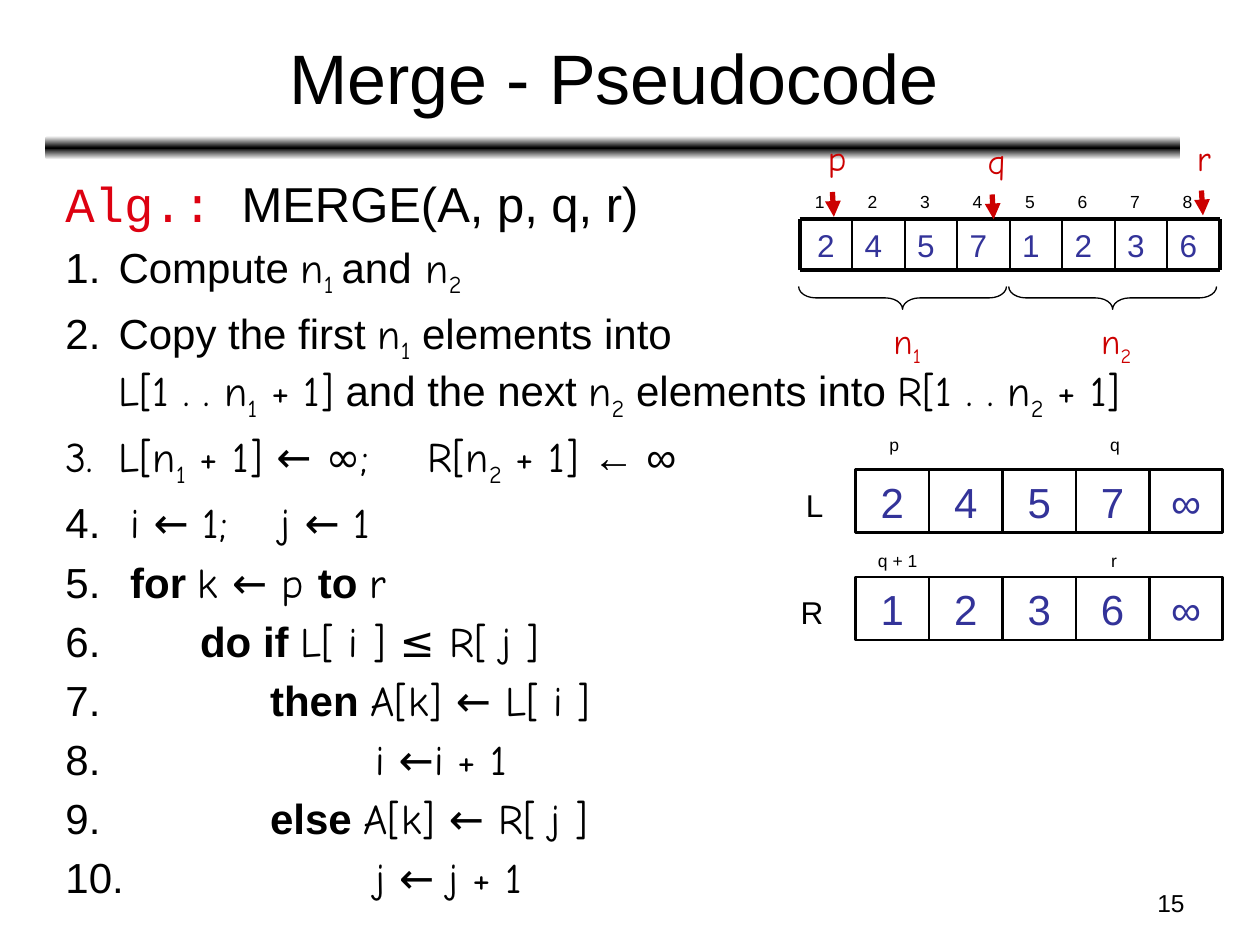
from dataclasses import dataclass

from lxml import etree
from pptx import Presentation
from pptx.dml.color import RGBColor
from pptx.enum.shapes import MSO_CONNECTOR, MSO_SHAPE
from pptx.enum.text import MSO_ANCHOR, PP_ALIGN
from pptx.oxml.ns import qn
from pptx.util import Cm, Pt

LEFT, CENTER, RIGHT = PP_ALIGN.LEFT, PP_ALIGN.CENTER, PP_ALIGN.RIGHT
TOP, MIDDLE = MSO_ANCHOR.TOP, MSO_ANCHOR.MIDDLE
STRAIGHT = MSO_CONNECTOR.STRAIGHT
RECTANGLE, ROUNDED, BRACE = MSO_SHAPE.RECTANGLE, MSO_SHAPE.ROUNDED_RECTANGLE, MSO_SHAPE.LEFT_BRACE


@dataclass(frozen=True)
class Theme:
    """Colours, fonts and type sizes."""
    black: str = "000000"
    white: str = "FFFFFF"
    value: str = "333399"
    marker: str = "CC0000"
    keyword: str = "DD0111"
    plain: str = "Arial"
    hand: str = "Comic Neue"
    mono: str = "Courier New"
    title: int = 40
    heading: int = 28
    code: int = 24
    pointer: int = 20
    cell: int = 18
    number: int = 14
    index: int = 10


THEME = Theme()

STEPS = [
    (1.07, None, [("Compute ", ""), ("n", "h"), ("1 ", "hs"), ("and", ""), (" n", "h"), ("2", "hs")]),
    (1.07, None, [("Copy the first ", ""), ("n", "h"), ("1", "hs"), (" elements into", ""), ("\n", ""),
                  ("L[1 . . n", "h"), ("1", "hs"), (" + 1]", "h"), (" and the next ", ""),
                  ("n", "h"), ("2", "hs"), (" elements into ", ""),
                  ("R[1 . . n", "h"), ("2", "hs"), (" + 1]", "h")]),
    (1.07, 7.3, [("L[n", "h"), ("1", "hs"), (" + 1] ← ∞;\tR[n", "h"), ("2", "hs"),
                 (" + 1] ", "h"), ("← ∞", "")]),
    (1.07, 4.34, [(" ", ""), ("i ← 1;\tj ← 1", "h")]),
    (1.07, None, [(" ", ""), ("for ", "b"), ("k ← p ", "h"), ("to ", "b"), ("r", "h")]),
    (2.48, None, [(" ", ""), ("do if ", "b"), ("L[ i ] ≤ R[ j ]", "h")]),
    (3.89, None, [(" ", ""), ("then ", "b"), ("A[k] ← L[ i ]", "h")]),
    (6.01, None, [(" ", ""), ("i ←i + 1", "h")]),
    (3.89, None, [(" ", ""), ("else ", "b"), ("A[k] ← R[ j ]", "h")]),
    (6.01, None, [(" ", ""), ("j ← j + 1", "h")]),
]


def add_run(paragraph, text, size, color=THEME.black, font=THEME.plain, bold=False, subscript=False):
    """Add one formatted run."""
    run = paragraph.add_run()
    run.text = text
    run.font.size = Pt(size)
    run.font.name = font
    run.font.bold = bold
    run.font.color.rgb = RGBColor.from_string(color)
    if subscript:
        run.font._element.set("baseline", "-25000")


def add_box(slide, left, top, width, height, anchor=TOP, wrap=True):
    """Add an empty text box and return its text frame."""
    frame = slide.shapes.add_textbox(Cm(left), Cm(top), Cm(width), Cm(height)).text_frame
    frame.word_wrap = wrap
    frame.vertical_anchor = anchor
    return frame


def add_label(slide, box, text, size, color=THEME.black, font=THEME.plain,
              align=LEFT, anchor=TOP, wrap=True, subscript=""):
    """Add a one-line label with an optional subscript."""
    paragraph = add_box(slide, *box, anchor, wrap).paragraphs[0]
    paragraph.alignment = align
    add_run(paragraph, text, size, color, font)
    if subscript:
        add_run(paragraph, subscript, size, color, font, subscript=True)


def add_line(slide, start, end, width, color=THEME.black, arrow=False):
    """Add a straight line, with an arrowhead at its end if asked."""
    line = slide.shapes.add_connector(STRAIGHT, *(Cm(length) for length in (*start, *end)))
    line.line.width = Pt(width)
    line.line.color.rgb = RGBColor.from_string(color)
    if arrow:
        outline_element = line._element.spPr.find(qn("a:ln"))
        etree.SubElement(outline_element, qn("a:tailEnd"), type="triangle")
    etree.SubElement(line._element.spPr, qn("a:effectLst"))


def add_shape(slide, kind, left, top, width, height):
    """Add a preset shape without a shadow."""
    shape = slide.shapes.add_shape(kind, Cm(left), Cm(top), Cm(width), Cm(height))
    shape.shadow.inherit = False
    return shape


def outline(shape, width):
    """Give a shape a black line and no fill."""
    shape.fill.background()
    shape.line.width = Pt(width)
    shape.line.color.rgb = RGBColor.from_string(THEME.black)


def add_header(slide, left, top, width, height):
    """Place the title and the gradient bar beneath it."""
    bar = add_shape(slide, ROUNDED, left - 0.03, top + 2.46, width + 0.03, 0.48)
    bar.line.fill.background()
    bar.fill.gradient()
    bar.fill.gradient_angle = 90
    stops = bar._element.spPr.find(qn("a:gradFill")).find(qn("a:gsLst"))
    for stop in list(stops):
        stops.remove(stop)
    for position, color in ((0, THEME.white), (50, THEME.black), (100, THEME.white)):
        stop = etree.SubElement(stops, qn("a:gs"), pos=str(position * 1000))
        etree.SubElement(stop, qn("a:srgbClr"), val=color)
    add_label(slide, (left, top, width, height), "Merge - Pseudocode", THEME.title,
              align=CENTER, anchor=MIDDLE)


def add_algorithm(slide, left, top, width, height):
    """Place the algorithm heading and its numbered steps."""
    frame = add_box(slide, left, top, width, height)
    heading = frame.paragraphs[0]
    add_run(heading, "Alg.: ", THEME.heading, THEME.keyword, THEME.mono)
    add_run(heading, "MERGE(A, p, q, r)", THEME.heading)
    for indent, tab, runs in STEPS:
        paragraph = frame.add_paragraph()
        paragraph.space_before = Pt(5)
        properties = paragraph._p.get_or_add_pPr()
        properties.set("marL", str(Cm(indent)))
        properties.set("indent", str(-Cm(indent)))
        etree.SubElement(properties, qn("a:buFont"), typeface=THEME.plain)
        etree.SubElement(properties, qn("a:buAutoNum"), type="arabicPeriod")
        if tab:
            tabs = etree.SubElement(properties, qn("a:tabLst"))
            etree.SubElement(tabs, qn("a:tab"), pos=str(Cm(tab)), algn="l")
        for text, style in runs:
            if text == "\n":
                paragraph.add_line_break()
            else:
                add_run(paragraph, text, THEME.code, font=THEME.hand if "h" in style else THEME.plain,
                        bold="b" in style, subscript="s" in style)


def add_input_array(slide, left, top, width, height):
    """Place array A with its indices, pointers and braces."""
    values = "24571236"
    pitch = width / len(values)
    bottom = top + height
    for column, value in enumerate(values):
        x = left + column * pitch
        add_label(slide, (x + 0.06, top - 0.69, 0.64, 0.69), str(column + 1), THEME.index)
        add_label(slide, (x, top, pitch, height), value, THEME.cell, THEME.value,
                  align=LEFT if column else CENTER, anchor=MIDDLE)
    for y in (top, bottom):
        add_line(slide, (left, y), (left + width, y), 2.25)
    for column in range(len(values) + 1):
        x = left + column * pitch
        add_line(slide, (x, top), (x, bottom), 1 if 0 < column < len(values) else 2.25)
    for name, x, y, tip in (("p", 0.32, -1.8, -0.05), ("q", 3.54, -1.73, 0), ("r", 7.76, -1.8, -0.08)):
        add_label(slide, (left + x, top + y, 0.89, 1.09), name, THEME.pointer, THEME.marker,
                  THEME.hand, wrap=False)
        add_line(slide, (left + x + 0.34, top + tip - 0.5), (left + x + 0.37, top + tip), 3,
                 THEME.marker, arrow=True)
    for half, share, x in (("1", 0.245, 1.64), ("2", 0.745, 5.83)):
        brace = add_shape(slide, BRACE, left + width * share - 0.23, top - 0.51, 0.46, 4.19)
        brace.rotation = 270
        brace.adjustments[0] = 0.75
        outline(brace, 0.75)
        add_label(slide, (left + x, top + 1.9, 1.12, 1.09), "n", THEME.pointer, THEME.marker,
                  THEME.hand, wrap=False, subscript=half)


def add_half_array(slide, left, top, width, height, name, values, bounds, rise):
    """Place one half array with its name and its bound labels."""
    pitch = width / len(values)
    for column, value in enumerate(values):
        cell = add_shape(slide, RECTANGLE, left + column * pitch, top, pitch, height)
        outline(cell, 1.5)
        cell.text_frame.vertical_anchor = MIDDLE
        paragraph = cell.text_frame.paragraphs[0]
        paragraph.alignment = CENTER
        add_run(paragraph, value, THEME.code, THEME.value)
    add_label(slide, (left - 1.37, top + 0.2, 0.97, 1.02), name, THEME.cell, align=RIGHT)
    for text, x in bounds:
        add_label(slide, (left + x, top - rise, 1.63, 0.69), text, THEME.index)


def main():
    """Build the slide and save it."""
    presentation = Presentation()
    presentation.slide_width, presentation.slide_height = Cm(25.4), Cm(19.05)
    slide = presentation.slides.add_slide(presentation.slide_layouts[6])
    add_header(slide, 0.94, 0.28, 22.86, 2.51)
    add_label(slide, (18.21, 17.78, 5.92, 0.89), "15", THEME.number, align=RIGHT)
    add_algorithm(slide, 1.07, 3.38, 22.86, 15.67)
    add_half_array(slide, 17.25, 9.47, 7.4, 1.27, "L", "2457∞", (("p", 0.43), ("q", 4.88)), 0.84)
    add_half_array(slide, 17.25, 11.63, 7.4, 1.27, "R", "1236∞", (("q + 1", 0.2), ("r", 4.9)), 0.66)
    add_input_array(slide, 16.12, 4.42, 8.47, 1.02)
    presentation.save("out.pptx")


if __name__ == "__main__":
    main()
